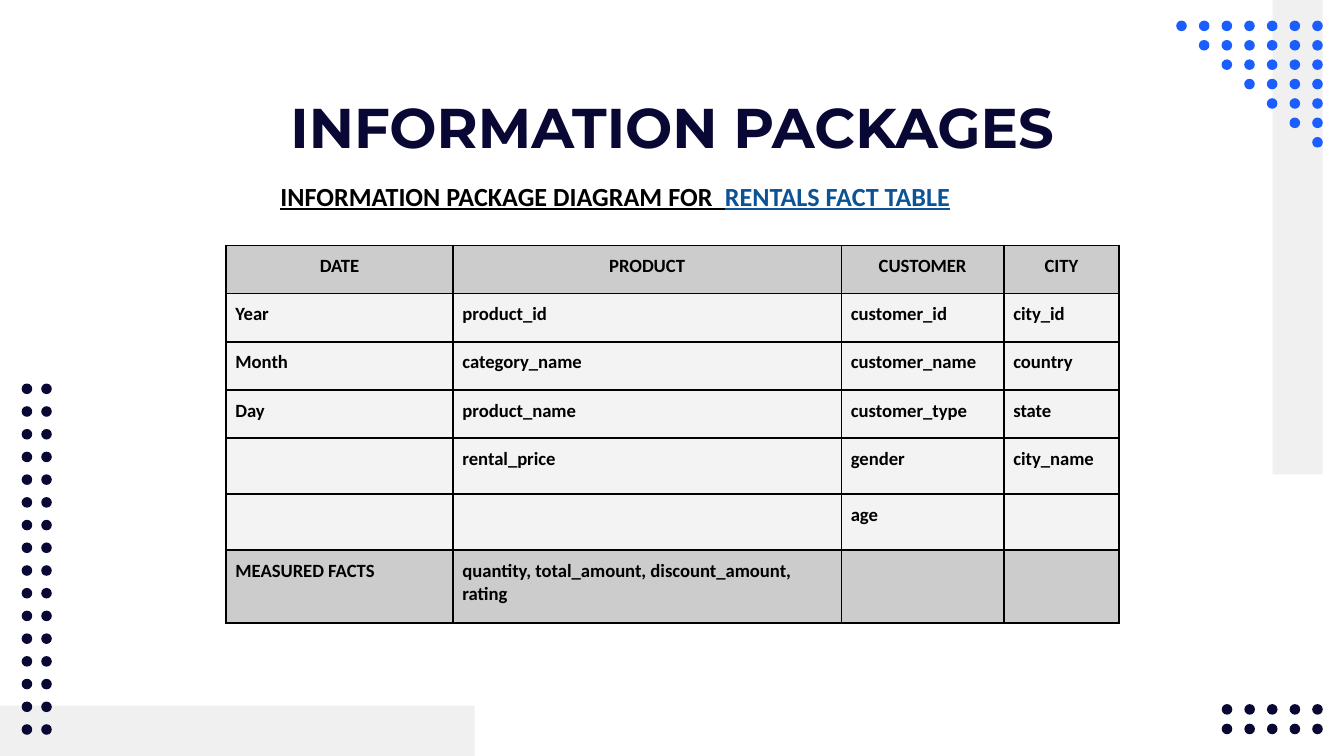
from lxml import etree
from pptx import Presentation
from pptx import util as u
from pptx.dml.color import RGBColor
from pptx.enum import shapes, text
from pptx.oxml.ns import qn

NAVY = RGBColor(0x09, 0x08, 0x35)
BLUE = RGBColor(0x1C, 0x5D, 0xFD)
LINK = RGBColor(0x0B, 0x53, 0x94)
BLACK = RGBColor(0, 0, 0)
BAND = RGBColor(0xF0, 0xF0, 0xF0)
HEAD = RGBColor(0xCC, 0xCC, 0xCC)
BODY = RGBColor(0xF3, 0xF3, 0xF3)

DOT = 0.2
COLS = [4.29, 7.34, 3.07, 2.18]
HEIGHTS = [0.91] * 4 + [1.06] * 2 + [1.38]
ROWS = [
    ["DATE", "PRODUCT", "CUSTOMER", "CITY"],
    ["Year", "product_id", "customer_id", "city_id"],
    ["Month", "category_name", "customer_name", "country"],
    ["Day", "product_name", "customer_type", "state"],
    ["", "rental_price", "gender", "city_name"],
    ["", "", "age", ""],
    ["MEASURED FACTS", "quantity, total_amount, discount_amount, rating", "", ""],
]


def format_font(font, name, size, color):
    """Apply a bold typeface, size and colour."""
    font.name, font.size, font.bold = name, u.Pt(size), True
    font.color.rgb = color


def set_margins(obj, margin):
    """Give a text frame or cell the same inset on all sides."""
    obj.margin_left = obj.margin_right = u.Cm(margin)
    obj.margin_top = obj.margin_bottom = u.Cm(margin)


def add_plain(s, kind, box, color):
    """Add a flat shape without outline or shadow."""
    sp = s.shapes.add_shape(kind, *map(u.Cm, box))
    sp.shadow.inherit = False
    sp.fill.solid()
    sp.fill.fore_color.rgb = color
    sp.line.fill.background()


def add_dots(s, box, cols, rows, color, triangle=False):
    """Fill a box with a grid of dots, or its upper right triangle."""
    left, top, width, height = box
    dx, dy = (width - DOT) / (cols - 1), (height - DOT) / (rows - 1)
    for row in range(rows):
        for col in range(row if triangle else 0, cols):
            dot = (left + col * dx, top + row * dy, DOT, DOT)
            add_plain(s, shapes.MSO_SHAPE.OVAL, dot, color)


def add_title(s, box):
    """Place the title placeholder in the box."""
    sp = s.shapes.title
    sp.left, sp.top, sp.width, sp.height = map(u.Cm, box)
    tf = sp.text_frame
    tf.text = "INFORMATION PACKAGES"
    tf.auto_size = text.MSO_AUTO_SIZE.NONE
    tf.vertical_anchor = text.MSO_ANCHOR.TOP
    set_margins(tf, 0.25)
    p = tf.paragraphs[0]
    p.alignment = text.PP_ALIGN.CENTER
    format_font(p.runs[0].font, "Montserrat", 30, NAVY)


def add_subtitle(s, box):
    """Write the underlined two-colour heading in the box."""
    tf = s.shapes.add_textbox(*map(u.Cm, box)).text_frame
    tf.word_wrap = True
    tf.vertical_anchor = text.MSO_ANCHOR.MIDDLE
    set_margins(tf, 0.25)
    p = tf.paragraphs[0]
    pPr = p._p.get_or_add_pPr()
    pPr.set("marL", str(u.Cm(1.55)))
    pPr.set("indent", str(u.Cm(-0.64)))
    for words, color in (("INFORMATION PACKAGE DIAGRAM FOR  ", BLACK),
                         ("RENTALS FACT TABLE", LINK)):
        r = p.add_run()
        r.text = words
        format_font(r.font, "Calibri", 14, color)
        r.font.underline = True


def add_borders(cell):
    """Draw a thin black line on each side of a cell."""
    tcPr = cell._tc.get_or_add_tcPr()
    for side in ("lnL", "lnR", "lnT", "lnB"):
        ln = etree.SubElement(tcPr, qn("a:" + side), w=str(u.Pt(1)))
        fill = etree.SubElement(ln, qn("a:solidFill"))
        etree.SubElement(fill, qn("a:srgbClr"), val=str(BLACK))


def format_cell(cell, words, is_head, color):
    """Fill one table cell with its text and style."""
    cell.text = words
    set_margins(cell, 0.18)
    add_borders(cell)
    cell.fill.solid()
    cell.fill.fore_color.rgb = color
    p = cell.text_frame.paragraphs[0]
    if is_head:
        p.alignment = text.PP_ALIGN.CENTER
    for r in p.runs:
        format_font(r.font, "Calibri", 10, BLACK)
    if not words:
        etree.SubElement(p._p, qn("a:endParaRPr"), sz="1000")


def add_package_table(s, left, top):
    """Build the information package table from its top left corner."""
    box = (left, top, sum(COLS), sum(HEIGHTS))
    tbl = s.shapes.add_table(len(ROWS), len(COLS), *map(u.Cm, box)).table
    tbl.first_row = tbl.horz_banding = False
    for column, width in zip(tbl.columns, COLS):
        column.width = u.Cm(width)
    for i, (row, height) in enumerate(zip(tbl.rows, HEIGHTS)):
        row.height = u.Cm(height)
        color = HEAD if i in (0, len(ROWS) - 1) else BODY
        for cell, words in zip(row.cells, ROWS[i]):
            format_cell(cell, words, i == 0, color)


def add_decoration(s):
    """Place the grey bands and dot patterns along the edges."""
    add_plain(s, shapes.MSO_SHAPE.RECTANGLE, (0, 13.34, 8.97, 0.95), BAND)
    add_plain(s, shapes.MSO_SHAPE.RECTANGLE, (24.05, 0, 0.95, 8.97), BAND)
    add_dots(s, (22.23, 0.39, 2.77, 2.4), 7, 7, BLUE, triangle=True)
    add_dots(s, (0.41, 7.25, 0.57, 6.64), 2, 16, NAVY)
    add_dots(s, (23.09, 13.31, 1.91, 0.57), 5, 2, NAVY)


def main():
    """Build and save the slide."""
    prs = Presentation()
    prs.slide_width, prs.slide_height = u.Cm(25.4), u.Cm(14.29)
    s = prs.slides.add_slide(prs.slide_layouts[5])
    add_decoration(s)
    add_title(s, (2, 1.5, 21.41, 1.6))
    add_subtitle(s, (4.14, 2.9, 17.12, 1.6))
    add_package_table(s, 4.27, 4.64)
    prs.save("out.pptx")


if __name__ == "__main__":
    main()
